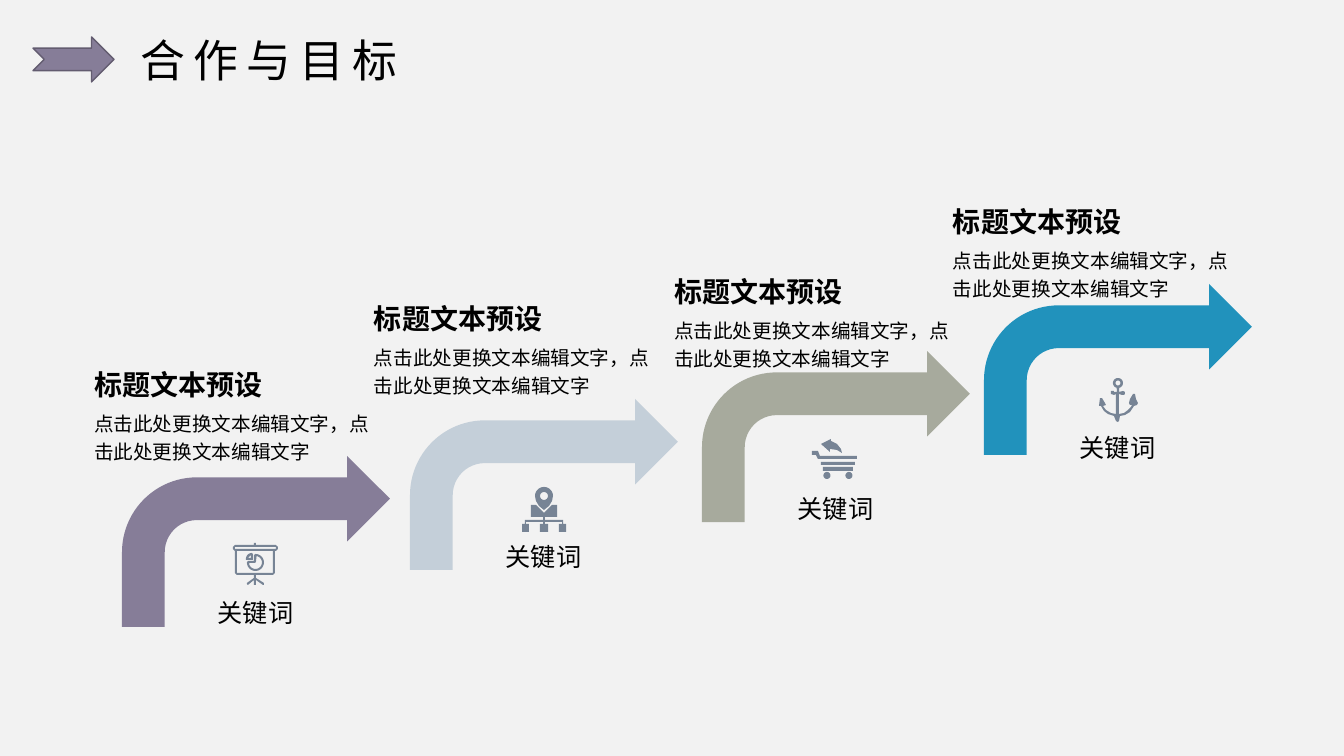
from math import cos, radians, sin

from pptx import Presentation
from pptx.dml.color import RGBColor
from pptx.enum.shapes import MSO_SHAPE
from pptx.enum.text import MSO_ANCHOR, PP_ALIGN
from pptx.oxml.ns import qn
from pptx.oxml.xmlchemy import OxmlElement
from pptx.util import Emu, Pt

BENT = MSO_SHAPE.BENT_ARROW
NOTCHED = MSO_SHAPE.NOTCHED_RIGHT_ARROW
TOP, MIDDLE = MSO_ANCHOR.TOP, MSO_ANCHOR.MIDDLE
LEFT, CENTER = PP_ALIGN.LEFT, PP_ALIGN.CENTER

FONT = "Noto Sans CJK SC"
PAPER = RGBColor(0xF2, 0xF2, 0xF2)
BLACK = RGBColor(0x00, 0x00, 0x00)
PURPLE = RGBColor(0x86, 0x7D, 0x98)
PLUM = RGBColor(0x63, 0x5C, 0x70)
MIST = RGBColor(0xC4, 0xCF, 0xD9)
SAGE = RGBColor(0xA7, 0xAA, 0x9D)
BLUE = RGBColor(0x21, 0x92, 0xBC)
SLATE = RGBColor(0x77, 0x84, 0x95)

HEAD = "标题文本预设"
BODY = "点击此处更换文本编辑文字，点击此处更换文本编辑文字"
KEY = "关键词"


def px(n):
    return Emu(round(n * 914400 / 100.8))


# Outline helpers: each gives one closed list of points
def arc(x, y, r, start=0, end=360):
    turns = [radians(start + (end - start) * i / 24) for i in range(25)]
    return [(x + r * cos(t), y + r * sin(t)) for t in turns]


def rect(x, y, w, h):
    return [(x, y), (x + w, y), (x + w, y + h), (x, y + h)]


# Icons, in px from their own top left corner
BOARD = [
    [(21, 0), (23, 0), (23, 2), (43, 2), (45, 4), (45, 6), (43, 8), (42, 8),
     (42, 30), (40, 32), (23, 32), (23, 35), (31, 40), (31, 42), (30, 42),
     (23, 37), (23, 42), (21, 42), (21, 37), (15, 42), (14, 41), (14, 40),
     (21, 35), (21, 32), (4, 32), (2, 30), (2, 8), (0, 6), (0, 4), (2, 2),
     (21, 2)],
    rect(4, 8, 36, 22),
    rect(2, 4, 41, 2),
    arc(22.5, 19.5, 8.5, -90, 180) + [(15, 18), (21, 18), (21, 12)],
    arc(22.5, 19.5, 6.5, -80, 175) + [(22, 20), (23, 19)],
    arc(19, 16, 6, 180, 270) + [(20, 11), (20, 17), (13, 17)],
    [(18, 12), (15, 15), (18, 15)],
]
MAP = [
    [(9, 18), (14, 18), (22, 26), (30, 18), (35, 18), (35, 30), (23, 30),
     (23, 33), (41, 33), (41, 37), (44, 37), (44, 45), (37, 45), (37, 37),
     (40, 37), (40, 35), (23, 35), (23, 37), (26, 37), (26, 45), (18, 45),
     (18, 37), (21, 37), (21, 35), (4, 35), (4, 37), (7, 37), (7, 45),
     (0, 45), (0, 37), (3, 37), (3, 33), (21, 33), (21, 30), (9, 30)],
    arc(22, 9, 9, 180, 360) + [(30, 14), (27, 19), (22, 23), (17, 19), (14, 14)],
    arc(22, 9, 4),
]
CART = [
    arc(15, 36.5, 3.5),
    arc(37, 36.5, 3.5),
    rect(11, 28, 30, 4),
    rect(9, 23, 34, 3),
    [(0, 12), (6, 12), (8, 17), (45, 17), (45, 20), (6, 20), (4, 16), (0, 16)],
    [(19, 0), (19, 2), (25, 5), (29, 10), (30, 14), (25, 11), (18, 10),
     (18, 13), (9, 5)],
]
ANCHOR = [
    [(39, 25), (37, 21), (36, 16), (34, 16), (31, 21), (30, 25), (31, 27),
     (33, 27), (32, 29), (29, 32), (25, 35), (20, 36), (20, 16), (23, 17),
     (25, 17), (26, 16), (26, 14), (24, 13), (20, 14)]
    + arc(19, 5, 5, 75, -255)
    + [(18, 14), (15, 14), (15, 13), (12, 13), (12, 16), (15, 17), (17, 16),
       (17, 36), (12, 35), (7, 32), (4, 28), (7, 27), (6, 25), (3, 20), (1, 20),
       (0, 28), (2, 28), (5, 33), (9, 36), (15, 38), (17, 43), (19, 44),
       (20, 43), (21, 38), (26, 37), (31, 34), (35, 28), (38, 27)],
    arc(19, 5, 2.5),
]

# Arrow corner, colour, icon, icon corner, heading corner
STEPS = [
    ((122, 456), PURPLE, BOARD, (233, 543), (94, 361)),
    ((410, 399), MIST, MAP, (522, 487), (374, 295)),
    ((702, 351), SAGE, CART, (812, 439), (674, 268)),
    ((984, 284), BLUE, ANCHOR, (1099, 378), (953, 198)),
]


def paint(shape, fill, line=None):
    shape.shadow.inherit = False
    shape.fill.solid()
    shape.fill.fore_color.rgb = fill
    if line:
        shape.line.color.rgb = line
        shape.line.width = Pt(1)
    else:
        shape.line.fill.background()


def add_arrow(slide, kind, x, y, w, h, fill, line=None):
    shape = slide.shapes.add_shape(kind, px(x), px(y), px(w), px(h))
    paint(shape, fill, line)


def add_icon(slide, loops, x, y):
    loops = [[(px(a), px(b)) for a, b in loop] for loop in loops]
    pen = slide.shapes.build_freeform(*loops[0][0])
    pen.add_line_segments(loops[0][1:])
    for loop in loops[1:]:
        pen.move_to(*loop[0])
        pen.add_line_segments(loop[1:])
    paint(pen.convert_to_shape(px(x), px(y)), SLATE)


def add_text(slide, text, x, y, w, h, size, bold=False, align=LEFT, anchor=TOP,
             wrap=True, pad=(0, 0), lead=None, track=None):
    frame = slide.shapes.add_textbox(px(x), px(y), px(w), px(h)).text_frame
    frame.word_wrap = wrap
    frame.vertical_anchor = anchor
    frame.margin_left = frame.margin_right = px(pad[0])
    frame.margin_top = frame.margin_bottom = px(pad[1])
    para = frame.paragraphs[0]
    para.alignment = align
    para.line_spacing = lead
    run = para.add_run()
    run.text = text
    run.font.size = Pt(size)
    run.font.bold = bold
    run.font.color.rgb = BLACK
    run.font.name = FONT
    props = run._r.get_or_add_rPr()
    east = OxmlElement("a:ea")
    east.set("typeface", FONT)
    props.find(qn("a:latin")).addnext(east)
    if track:
        props.set("spc", str(track * 100))


def add_step(slide, spot, fill, icon, mark, head):
    add_arrow(slide, BENT, *spot, 268, 171, fill)
    add_icon(slide, icon, *mark)
    add_text(slide, KEY, spot[0] + 47, mark[1] + 28, 173, 83, 18,
             align=CENTER, anchor=MIDDLE, wrap=False)
    x, y = head
    add_text(slide, BODY, x, y + 46, 291, 61, 14, lead=1.2)
    add_text(slide, HEAD, x, y, 291, 30, 20, bold=True, wrap=False, lead=1.2)


def main():
    deck = Presentation()
    deck.slide_width, deck.slide_height = px(1344), px(756)
    slide = deck.slides.add_slide(deck.slide_layouts[6])
    slide.background.fill.solid()
    slide.background.fill.fore_color.rgb = PAPER

    # Title row
    add_arrow(slide, NOTCHED, 33, 37, 81, 45, PURPLE, PLUM)
    add_text(slide, "合作与目标", 130, 28, 400, 65, 32, pad=(10, 5), track=6)

    # Rising steps
    for step in STEPS:
        add_step(slide, *step)

    deck.save("out.pptx")


if __name__ == "__main__":
    main()
